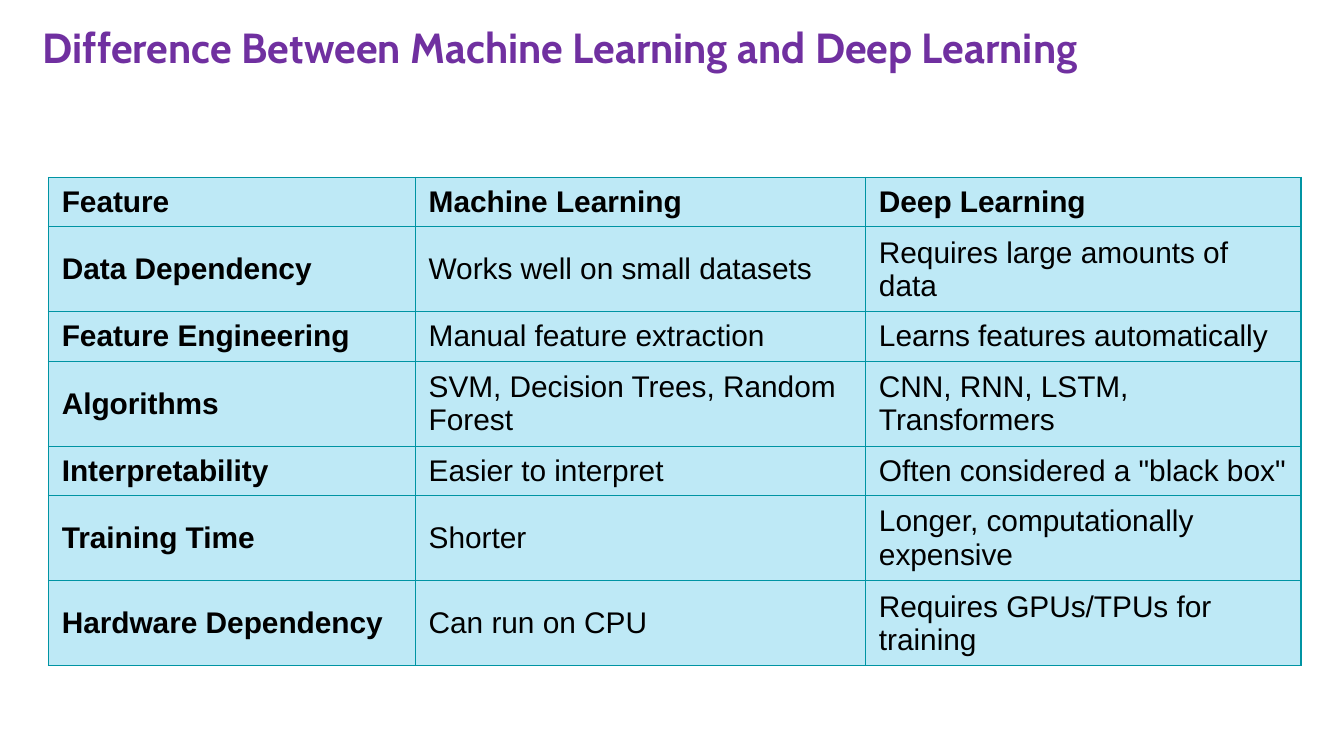
"""Build a slide with a table comparing machine learning and deep learning."""
import lxml.etree
import pptx
import pptx.dml.color
import pptx.enum.text
import pptx.oxml.ns
import pptx.util

Inches = pptx.util.Inches
COLORS = {"title": "7030A0", "text": "000000", "cell": "BEE9F6", "border": "0094A3"}
TITLE_FORMAT = {"name": "Cabin", "size": pptx.util.Pt(22.5), "bold": True}
CELL_FORMAT = {"name": "Arial", "size": pptx.util.Pt(16)}
COLUMN_WIDTHS = [2.73, 3.35, 3.24]
ROW_HEIGHTS = [0.33, 0.33, 0.33, 0.57, 0.33, 0.57, 0.33]
ROWS = [
    ("Feature", "Machine Learning", "Deep Learning"),
    ("Data Dependency", "Works well on small datasets", "Requires large amounts of data"),
    ("Feature Engineering", "Manual feature extraction", "Learns features automatically"),
    ("Algorithms", "SVM, Decision Trees, Random Forest", "CNN, RNN, LSTM, Transformers"),
    ("Interpretability", "Easier to interpret", 'Often considered a "black box"'),
    ("Training Time", "Shorter", "Longer, computationally expensive"),
    ("Hardware Dependency", "Can run on CPU", "Requires GPUs/TPUs for training"),
]


def format_font(font, values, color):
    for name, value in values.items():
        setattr(font, name, value)
    font.color.rgb = pptx.dml.color.RGBColor.from_string(COLORS[color])


def add_borders(cell):
    properties = cell._tc.get_or_add_tcPr()
    for position, side in enumerate(("lnL", "lnR", "lnT", "lnB")):
        line = lxml.etree.Element(pptx.oxml.ns.qn(f"a:{side}"), w=str(pptx.util.Pt(0.75)))
        fill = lxml.etree.SubElement(line, pptx.oxml.ns.qn("a:solidFill"))
        lxml.etree.SubElement(fill, pptx.oxml.ns.qn("a:srgbClr"), val=COLORS["border"])
        properties.insert(position, line)


presentation = pptx.Presentation()
presentation.slide_width = Inches(10)
presentation.slide_height = Inches(10 * 9 / 16)
slide = presentation.slides.add_slide(presentation.slide_layouts[6])

title = slide.shapes.add_textbox(Inches(0.22), Inches(0.06), Inches(9.11), Inches(0.69))
frame = title.text_frame
frame.word_wrap = True
for side in ("left", "top", "right", "bottom"):
    setattr(frame, f"margin_{side}", Inches(0.1))
paragraph = frame.paragraphs[0]
paragraph.text = "Difference Between Machine Learning and Deep Learning"
paragraph.alignment = pptx.enum.text.PP_ALIGN.LEFT
format_font(paragraph.font, TITLE_FORMAT, "title")

table_shape = slide.shapes.add_table(
    len(ROWS), len(COLUMN_WIDTHS), Inches(0.36), Inches(1.32),
    Inches(sum(COLUMN_WIDTHS)), Inches(sum(ROW_HEIGHTS)),
)
table = table_shape.table
table.first_row = False
table.horz_banding = False
for column, width in zip(table.columns, COLUMN_WIDTHS):
    column.width = Inches(width)
for row, height in zip(table.rows, ROW_HEIGHTS):
    row.height = Inches(height)
table_shape.height = Inches(3.63)

for row_index, texts in enumerate(ROWS):
    for column_index, text in enumerate(texts):
        cell = table.cell(row_index, column_index)
        cell.text = text
        cell.vertical_anchor = pptx.enum.text.MSO_ANCHOR.MIDDLE
        cell.fill.solid()
        cell.fill.fore_color.rgb = pptx.dml.color.RGBColor.from_string(COLORS["cell"])
        add_borders(cell)
        bold = row_index == 0 or column_index == 0
        format_font(cell.text_frame.paragraphs[0].font, {**CELL_FORMAT, "bold": bold}, "text")

presentation.save("out.pptx")
